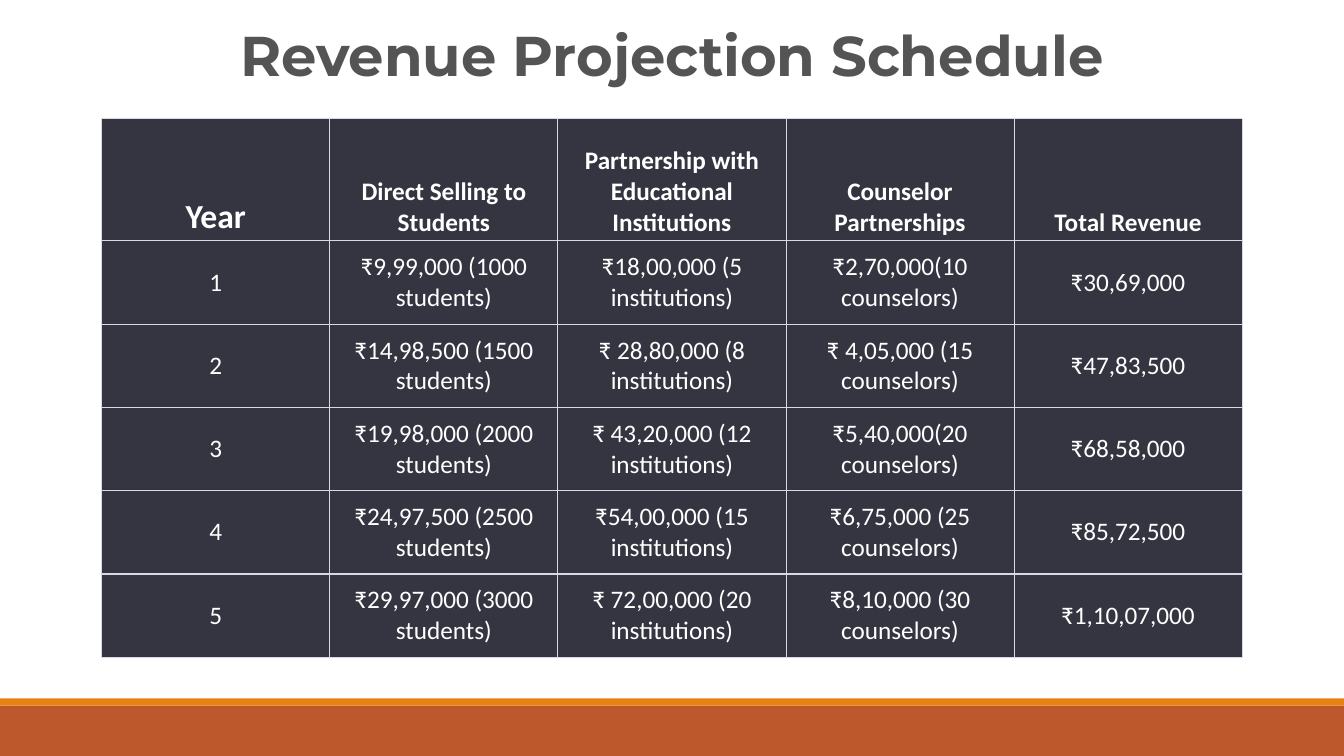
"""Build the revenue projection slide: a title, a five-year table and a footer band."""
import dataclasses

import lxml.etree
import pptx
import pptx.dml.color
import pptx.enum.shapes
import pptx.enum.text
import pptx.oxml.ns
import pptx.util


@dataclasses.dataclass(frozen=True)
class Theme:
    title_font: str = "Montserrat"
    body_font: str = "Calibri"
    title_size: int = 40
    year_size: int = 24
    body_size: int = 18
    title: str = "545454"
    text: str = "FFFFFF"
    cell: str = "343541"
    border: str = "D9D9E3"
    band: str = "BD582C"
    stripe: str = "E48312"


def style_run(r, font, size, color, bold):
    r.font.name = font
    r.font.size = pptx.util.Pt(size)
    r.font.color.rgb = pptx.dml.color.RGBColor.from_string(color)
    r.font.bold = bold


def set_borders(cell, widths):
    tc_pr = cell._tc.get_or_add_tcPr()
    for i, (side, width) in enumerate(widths.items()):
        ln = lxml.etree.Element(pptx.oxml.ns.qn(f"a:ln{side}"), w=str(pptx.util.Pt(width)))
        fill = lxml.etree.SubElement(ln, pptx.oxml.ns.qn("a:solidFill"))
        lxml.etree.SubElement(fill, pptx.oxml.ns.qn("a:srgbClr"), val=theme.border)
        tc_pr.insert(i, ln)


theme = Theme()
rows = [
    ["Year", "Direct Selling to Students", "Partnership with Educational Institutions",
     "Counselor Partnerships", "Total Revenue"],
    ["1", "₹9,99,000 (1000 students)", "₹18,00,000 (5 institutions)",
     "₹2,70,000(10 counselors)", "₹30,69,000"],
    ["2", "₹14,98,500 (1500 students)", "₹ 28,80,000 (8 institutions)",
     "₹ 4,05,000 (15 counselors)", "₹47,83,500"],
    ["3", "₹19,98,000 (2000 students)", "₹ 43,20,000 (12 institutions)",
     "₹5,40,000(20 counselors)", "₹68,58,000"],
    ["4", "₹24,97,500 (2500 students)", "₹54,00,000 (15 institutions)",
     "₹6,75,000 (25 counselors)", "₹85,72,500"],
    ["5", "₹29,97,000 (3000 students)", "₹ 72,00,000 (20 institutions)",
     "₹8,10,000 (30 counselors)", "₹1,10,07,000"],
]

inch = pptx.util.Inches
prs = pptx.Presentation()
prs.slide_width, prs.slide_height = inch(13.33), inch(7.5)
s = prs.slides.add_slide(prs.slide_layouts.get_by_name("Title Only"))

band_height, stripe_height = inch(0.5), inch(0.07)
band_top = prs.slide_height - band_height
for top, height, color in [(band_top, band_height, theme.band),
                           (band_top - stripe_height, stripe_height, theme.stripe)]:
    sp = s.shapes.add_shape(pptx.enum.shapes.MSO_SHAPE.RECTANGLE, 0, top, prs.slide_width, height)
    sp.shadow.inherit = False
    sp.fill.solid()
    sp.fill.fore_color.rgb = pptx.dml.color.RGBColor.from_string(color)
    sp.line.fill.background()

title = s.shapes.title
title.left, title.top, title.width, title.height = inch(0.82), inch(0.27), inch(11.69), inch(0.65)
tf = title.text_frame
tf.text = "Revenue Projection Schedule"
tf.word_wrap = True
tf.auto_size = pptx.enum.text.MSO_AUTO_SIZE.SHAPE_TO_FIT_TEXT
p = tf.paragraphs[0]
p.alignment = pptx.enum.text.PP_ALIGN.CENTER
p.line_spacing = 0.8
style_run(p.runs[0], theme.title_font, theme.title_size, theme.title, True)

column_width, header_height, row_height = inch(2.262), inch(1.21), inch(0.826)
table = s.shapes.add_table(
    len(rows), len(rows[0]), inch(1.01), inch(1.18), column_width * len(rows[0]),
    header_height + row_height * (len(rows) - 1)).table
table.horz_banding = False
for column in table.columns:
    column.width = column_width

for i, row in enumerate(rows):
    header = i == 0
    table.rows[i].height = header_height if header else row_height
    borders = {"L": 0.75, "R": 0.75, "T": 0.75 if header else 1,
               "B": 0.75 if i == len(rows) - 1 else 1}
    for j, text in enumerate(row):
        cell = table.cell(i, j)
        cell.text = text
        cell.fill.solid()
        cell.fill.fore_color.rgb = pptx.dml.color.RGBColor.from_string(theme.cell)
        cell.margin_left = cell.margin_right = inch(0.05)
        cell.margin_top = cell.margin_bottom = inch(0.03)
        anchors = pptx.enum.text.MSO_ANCHOR
        cell.vertical_anchor = anchors.BOTTOM if header else anchors.MIDDLE
        set_borders(cell, borders)
        p = cell.text_frame.paragraphs[0]
        p.alignment = pptx.enum.text.PP_ALIGN.CENTER
        size = theme.year_size if header and j == 0 else theme.body_size
        style_run(p.runs[0], theme.body_font, size, theme.text, header)

prs.save("out.pptx")
